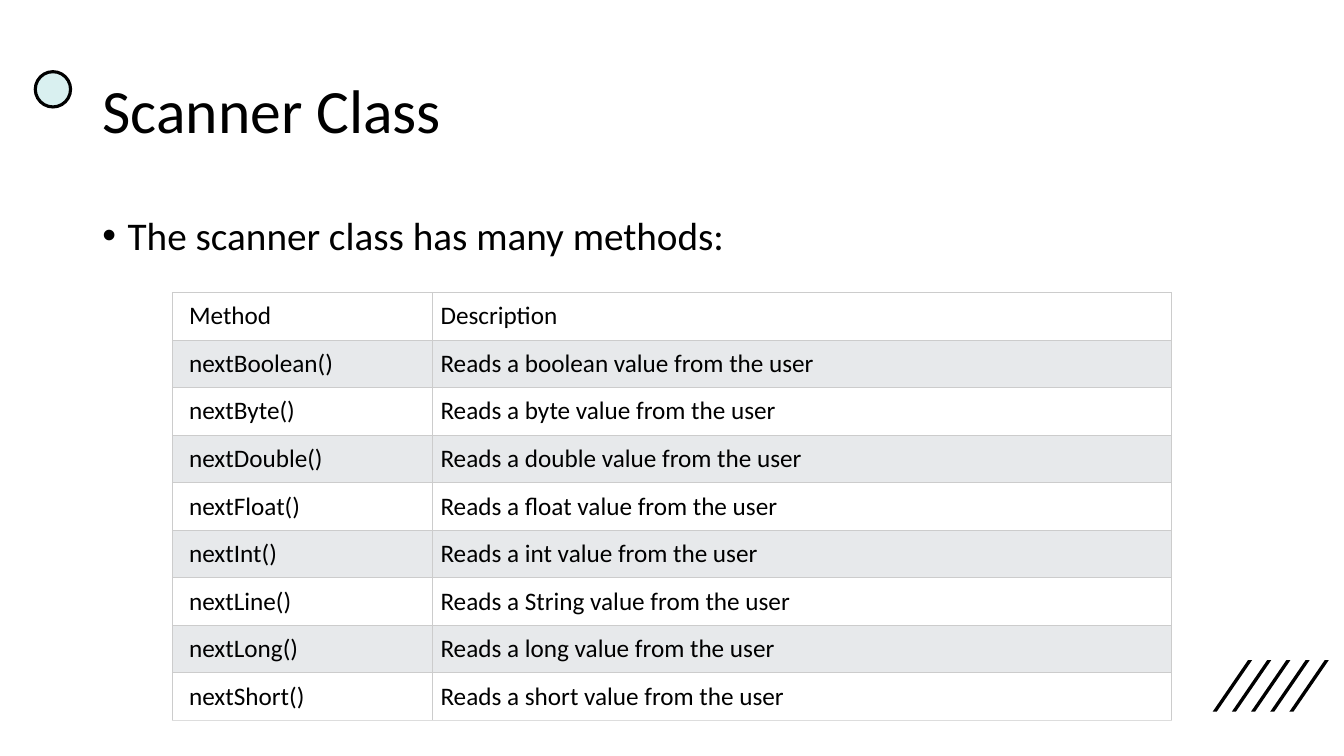
from pptx import Presentation
from pptx.dml.color import RGBColor
from pptx.enum.shapes import MSO_SHAPE
from pptx.enum.text import MSO_ANCHOR, MSO_AUTO_SIZE, PP_ALIGN
from pptx.oxml.ns import qn
from pptx.util import Pt
from lxml.etree import SubElement

COLORS = {"ink": "000000", "paper": "FFFFFF", "band": "E7E9EB",
          "mint": "D9F0F0", "grid": "CCCCCC", "edge": "DDDDDD"}
FONT = "Calibri"


class Deck:
    def __init__(self, wide, high):
        self.prs = Presentation()
        self.prs.slide_width, self.prs.slide_height = Pt(wide), Pt(high)
        self.slide = self.prs.slides.add_slide(self.prs.slide_layouts[1])
        self.shapes = self.slide.shapes
        self.paint(self.slide.background, "paper")

    def paint(self, item, color):
        item.fill.solid()
        item.fill.fore_color.rgb = RGBColor.from_string(COLORS[color])

    def label(self, para, text, size):
        run = para.add_run()
        run.text = text
        run.font.name, run.font.size = FONT, Pt(size)
        run.font.bold = False
        run.font.color.rgb = RGBColor.from_string(COLORS["ink"])

    def fit(self, holder, box, anchor, spacing):
        holder.left, holder.top, holder.width, holder.height = map(Pt, box)
        frame = holder.text_frame
        frame.word_wrap = True
        frame.auto_size = MSO_AUTO_SIZE.NONE
        frame.vertical_anchor = anchor
        para = frame.paragraphs[0]
        para.alignment = PP_ALIGN.LEFT
        para.line_spacing, para.space_before = spacing, Pt(0)
        return para

    def title(self, text, box):
        para = self.fit(self.shapes.title, box, MSO_ANCHOR.MIDDLE, 0.9)
        self.label(para, text, 44)

    def bullet(self, text, box):
        para = self.fit(self.slide.placeholders[1], box, MSO_ANCHOR.TOP, 1.1)
        props = para._p.get_or_add_pPr()
        props.set("marL", str(Pt(18)))
        props.set("indent", str(Pt(-18)))
        SubElement(props, qn("a:buFont"), typeface="Arial")
        SubElement(props, qn("a:buChar"), char="•")
        self.label(para, text, 28)

    def circle(self, left, top, size):
        dot = self.shapes.add_shape(MSO_SHAPE.OVAL, Pt(left), Pt(top), Pt(size), Pt(size))
        dot.shadow.inherit = False
        self.paint(dot, "mint")
        dot.line.color.rgb = RGBColor.from_string(COLORS["ink"])
        dot.line.width = Pt(2.25)

    def stripe(self, left, top, high, lean, thick):
        base = top + high
        points = [(left, base), (left + lean, top),
                  (left + lean + thick, top), (left + thick, base)]
        start, *rest = [(Pt(x), Pt(y)) for x, y in points]
        pen = self.shapes.build_freeform(*start, scale=1.0)
        pen.add_line_segments(rest, close=True)
        shape = pen.convert_to_shape()
        shape.shadow.inherit = False
        self.paint(shape, "ink")
        shape.line.fill.background()

    def border(self, cell, last):
        props = cell._tc.get_or_add_tcPr()
        for spot, side in enumerate(("lnL", "lnR", "lnT", "lnB")):
            line = SubElement(props, qn(f"a:{side}"), w=str(Pt(0.75)))
            fill = SubElement(line, qn("a:solidFill"))
            tone = "edge" if last and side == "lnB" else "grid"
            SubElement(fill, qn("a:srgbClr"), val=COLORS[tone])
            props.remove(line)
            props.insert(spot, line)

    def table(self, rows, left, top, widths, high):
        frame = self.shapes.add_table(len(rows), len(widths), Pt(left), Pt(top),
                                      Pt(sum(widths)), Pt(high * len(rows)))
        grid = frame.table
        grid.first_row = grid.horz_banding = False
        for col, width in zip(grid.columns, widths):
            col.width = Pt(width)
        for r, row in enumerate(rows):
            grid.rows[r].height = Pt(high)
            for c, text in enumerate(row):
                cell = grid.cell(r, c)
                cell.margin_left = Pt(6 if c else 12)
                cell.margin_top = cell.margin_right = cell.margin_bottom = Pt(6)
                self.paint(cell, "band" if r % 2 else "paper")
                self.border(cell, r == len(rows) - 1)
                self.label(cell.text_frame.paragraphs[0], text, 18)


def main():
    deck = Deck(960, 540)

    # Corner stripes and title dot
    for i in range(5):
        deck.stripe(866.2 + 13.7 * i, 471.6, 36.7, 25.2, 2.9)
    deck.circle(25.2, 51.2, 25.2)

    # Title and list
    deck.title("Scanner Class", (66, 28.8, 828, 104.4))
    deck.bullet("The scanner class has many methods:", (66, 144, 828, 342.7))

    # Table of methods
    kinds = ["boolean", "byte", "double", "float", "int", "String", "long", "short"]
    rows = [("Method", "Description")]
    for kind in kinds:
        name = "Line" if kind == "String" else kind.capitalize()
        rows.append((f"next{name}()", f"Reads a {kind} value from the user"))
    deck.table(rows, 123.1, 208.9, (185.6, 528.2), 33.9)

    deck.prs.save("out.pptx")


if __name__ == "__main__":
    main()
